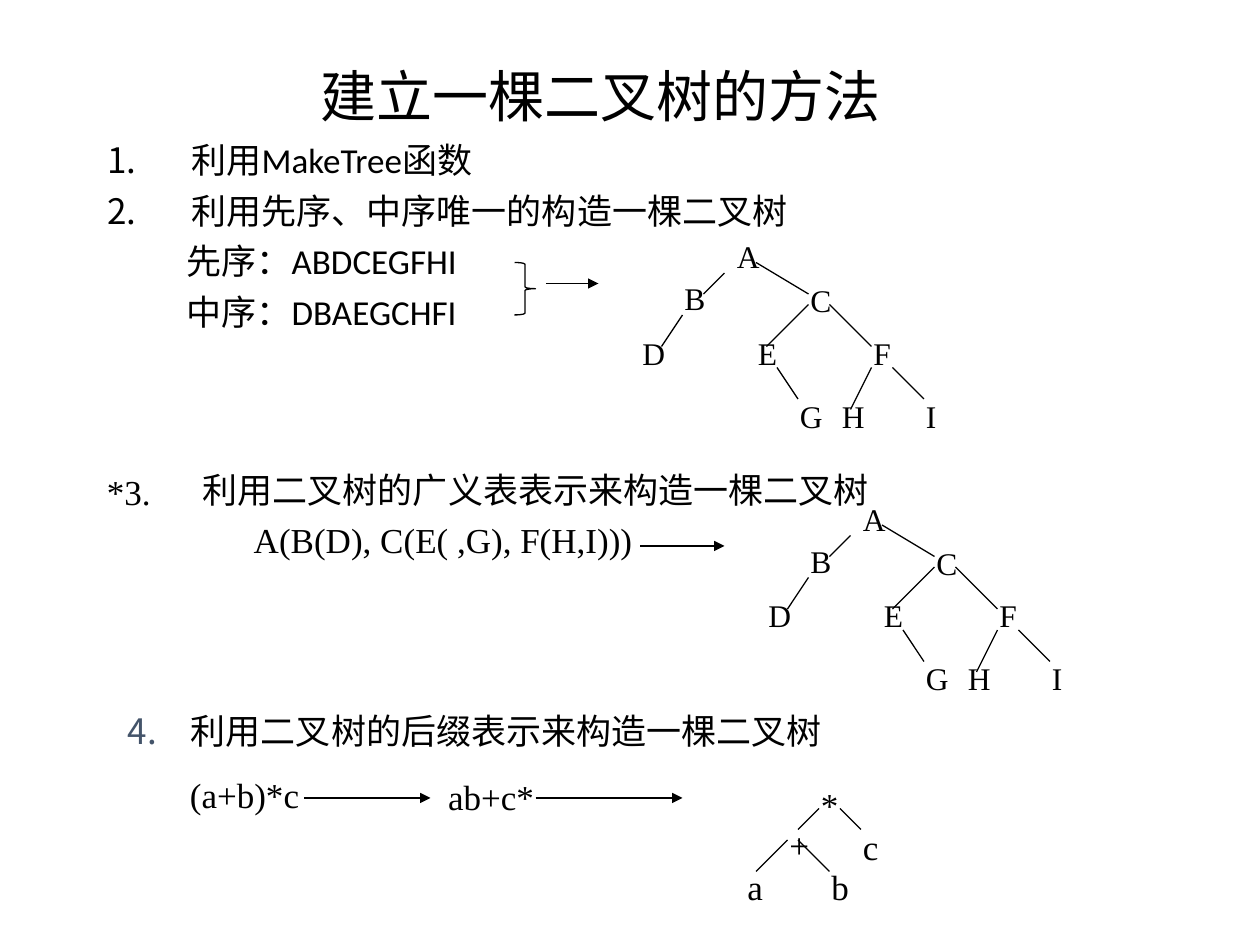
from lxml.etree import SubElement
from pptx import Presentation
from pptx.dml.color import RGBColor
from pptx.enum.shapes import MSO_CONNECTOR, MSO_SHAPE
from pptx.enum.text import MSO_ANCHOR, MSO_AUTO_SIZE, PP_ALIGN
from pptx.oxml.ns import qn
from pptx.util import Cm, Pt

# Content; places are (x, y) in grid steps, twelve to 2.54 cm
BLACK, SLATE = "000000", "44546A"
SANS, SERIF = "Calibri", "Times New Roman"
TITLE = "建立一棵二叉树的方法"

# Each line: text, options (num, color, left and hang in cm, gap in pt)
METHODS = [
    ("利用MakeTree函数", dict(num=1, left=1.7, hang=1.7)),
    ("利用先序、中序唯一的构造一棵二叉树", dict(num=1, left=1.7, hang=1.7, gap=7.5)),
    ("先序：ABDCEGFHI", dict(left=1.6, gap=7.5)),
    ("中序：DBAEGCHFI", dict(left=1.6, gap=7.5)),
]
LISTS = [
    ("利用二叉树的广义表表示来构造一棵二叉树", dict(left=1.93)),
    ("A(B(D), C(E( ,G), F(H,I)))", dict(left=2.96, gap=5)),
]
SUFFIX = [
    ("利用二叉树的后缀表示来构造一棵二叉树", dict(num=4, color=SLATE, left=1.27, hang=1.27)),
    ("(a+b)*c", dict(left=1.25, gap=12.5)),
]
BOXES = [
    ([("*3.", {})], (9, 44.2, 8, 5.3)),
    (LISTS, (9, 44, 104, 14.9)),
    (SUFFIX, (11, 67, 78, 11.3)),
    ([("ab+c*", {})], (41.5, 73.3, 12, 5.3)),
]
LETTERS = dict(
    size=18, box=(5, 4.8),
    nodes={"A": (9, 0), "B": (4, 4), "C": (16, 4.2), "D": (0, 9.2), "E": (11, 9.2),
           "F": (22, 9.2), "G": (15, 15.2), "H": (19, 15.2), "I": (27, 15.2)},
    edges=[(9, 4, 7, 6), (5, 8, 3, 11), (12, 3, 17, 6), (17, 7, 13, 11),
           (19, 7, 23, 11), (14, 13, 16, 16), (23, 13, 21, 17), (25, 13, 28, 16)])
SUMS = dict(
    size=20, box=(4, 5.3),
    nodes={"*": (7, 0), "+": (4, 3.8), "c": (11, 4), "a": (0, 7.8), "b": (8, 7.8)},
    edges=[(8, 3, 6, 5), (10, 3, 12, 5), (5, 6, 2, 9), (6, 6, 9, 9)])
TREES = [(LETTERS, 60, 22), (LETTERS, 72, 47), (SUMS, 70, 74)]
ARROWS = [(52, 27, 57), (61, 52, 69), (29, 76, 41), (51, 76, 65)]


def grid(*steps):
    return [Cm(step * 2.54 / 12) for step in steps]


def tint(color, code):
    color.rgb = RGBColor.from_string(code)


def place(shape, *steps):
    shape.left, shape.top, shape.width, shape.height = grid(*steps)


def style(para, font, size):
    for run in para.runs:
        run.font.name, run.font.size = font, Pt(size)
        tint(run.font.color, BLACK)


def layout(para, num=0, color=BLACK, left=0, hang=0, gap=0):
    props = para._p.get_or_add_pPr()
    props.set("marL", str(Cm(left)))
    props.set("indent", str(-Cm(hang)))
    if num:
        fill = SubElement(props, qn("a:buClr"))
        SubElement(fill, qn("a:srgbClr"), val=color)
        SubElement(props, qn("a:buFontTx"))
        SubElement(props, qn("a:buAutoNum"), type="arabicPeriod", startAt=str(num))
    else:
        SubElement(props, qn("a:buNone"))
    para.space_before = Pt(gap)


def write(frame, lines, font, size, pitch=None):
    frame.word_wrap = True
    frame.auto_size = MSO_AUTO_SIZE.NONE
    frame.text = "\n".join(text for text, _ in lines)
    for para, (_, opts) in zip(frame.paragraphs, lines):
        layout(para, **opts)
        para.line_spacing = pitch
        style(para, font, size)


def draw(shapes, x, y, to_x, to_y, arrow=False):
    line = shapes.add_connector(MSO_CONNECTOR.STRAIGHT, *grid(x, y, to_x, to_y))
    line.line.width = Pt(0.75)
    tint(line.line.color, BLACK)
    if arrow:
        SubElement(line.line._get_or_add_ln(), qn("a:tailEnd"), type="triangle")
    SubElement(line._element.spPr, qn("a:effectLst"))


def plant(shapes, tree, x, y):
    group = shapes.add_group_shape().shapes
    for name, (dx, dy) in tree["nodes"].items():
        box = group.add_textbox(*grid(x + dx, y + dy, *tree["box"]))
        write(box.text_frame, [(name, {})], SERIF, tree["size"])
    for x1, y1, x2, y2 in tree["edges"]:
        draw(group, x + x1, y + y1, x + x2, y + y2)


def main():
    deck = Presentation()
    deck.slide_width, deck.slide_height = Cm(25.4), Cm(19.05)
    slide = deck.slides.add_slide(deck.slide_layouts[1])
    shapes = slide.shapes

    # Title and first two methods
    title, body = shapes.title, slide.placeholders[1]
    place(title, 9, 5, 102, 9)
    write(title.text_frame, [(TITLE, dict(left=4.3))], SANS, 32, 0.9)
    title.text_frame.vertical_anchor = MSO_ANCHOR.MIDDLE
    title.text_frame.paragraphs[0].alignment = PP_ALIGN.LEFT
    place(body, 9, 13, 102, 30)
    write(body.text_frame, METHODS, SANS, 20, 0.9)

    # Brace joining the two orders
    brace = shapes.add_shape(MSO_SHAPE.RIGHT_BRACE, *grid(49, 25, 2, 5))
    brace.shadow.inherit = False
    brace.fill.background()
    brace.line.width = Pt(0.75)
    tint(brace.line.color, BLACK)

    # Remaining methods
    for lines, spot in BOXES:
        write(shapes.add_textbox(*grid(*spot)).text_frame, lines, SERIF, 20)

    # Arrows and trees
    for x, y, end in ARROWS:
        draw(shapes, x, y, end, y, arrow=True)
    for tree, x, y in TREES:
        plant(shapes, tree, x, y)
    deck.save("out.pptx")


if __name__ == "__main__":
    main()
